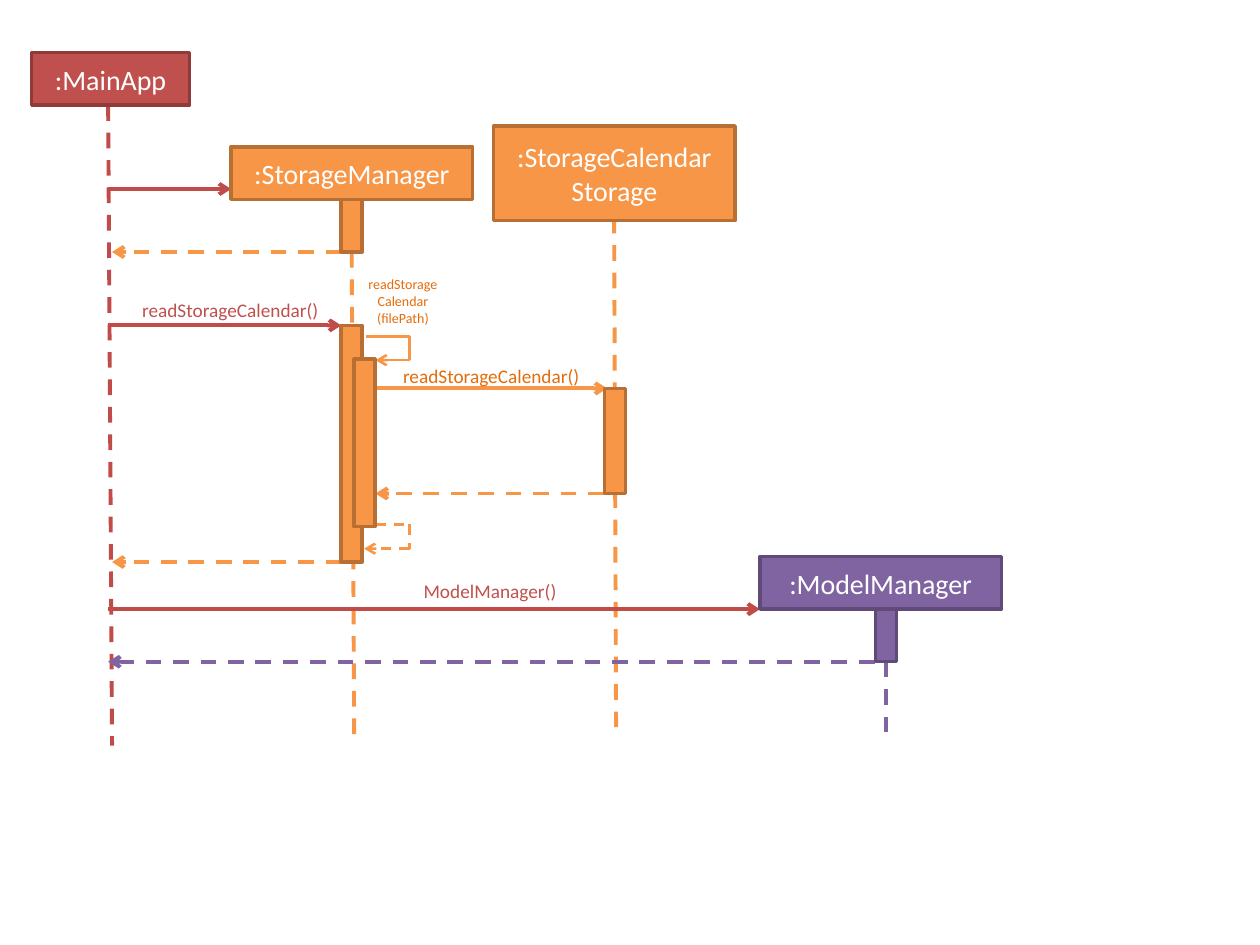
import pptx
import pptx.util
import pptx.dml.color
import pptx.enum.dml
import pptx.enum.shapes
import pptx.enum.text
import pptx.oxml.ns
import lxml.etree
from dataclasses import dataclass
from pptx.util import Cm


@dataclass(frozen=True)
class Theme:
    font: str = "Calibri"
    white: str = "FFFFFF"
    red: str = "C0504D"
    red_line: str = "BF4C48"
    red_edge: str = "8E3B39"
    orange: str = "F79646"
    orange_edge: str = "B76F34"
    orange_text: str = "E46C0A"
    purple: str = "8064A2"
    purple_edge: str = "5F4A78"
    header_size: int = 16
    label_size: int = 11
    small_size: int = 8
    edge_width: float = 2
    line_width: float = 2.25
    thin_width: float = 1.5


THEME = Theme()
MAIN = (THEME.red, THEME.red_edge)
STORAGE = (THEME.orange, THEME.orange_edge)
MODEL = (THEME.purple, THEME.purple_edge)

MAIN_X = 2.18
RETURN_X = 2.26
MANAGER_X = 6.88
SELF_BAR_RIGHT = 7.57
LOOP_X = 8.26
HEADER_WIDTH, HEADER_HEIGHT = 4.87, 1.06
BAR_WIDTH = 0.42
LIFELINE_END = 14.82


def rgb(value):
    return pptx.dml.color.RGBColor.from_string(value)


def apply_format(target, values):
    for name, value in values.items():
        setattr(target, name, value)


def write_text(frame, text, size, color):
    """Write one centred paragraph for each line of text."""
    for index, line in enumerate(text.split("\n")):
        para = frame.paragraphs[0] if index == 0 else frame.add_paragraph()
        para.alignment = pptx.enum.text.PP_ALIGN.CENTER
        span = para.add_run()
        span.text = line
        apply_format(span.font, {"name": THEME.font, "size": pptx.util.Pt(size)})
        span.font.color.rgb = rgb(color)


def add_box(page, left, top, width, height, colors, text=""):
    """Add an object header, or an activation bar when there is no text."""
    fill, edge = colors
    box = page.shapes.add_shape(pptx.enum.shapes.MSO_SHAPE.RECTANGLE,
                                Cm(left), Cm(top), Cm(width), Cm(height))
    box.shadow.inherit = False
    box.fill.solid()
    box.fill.fore_color.rgb = rgb(fill)
    box.line.color.rgb = rgb(edge)
    box.line.width = pptx.util.Pt(THEME.edge_width)
    if text:
        apply_format(box.text_frame, {
            "word_wrap": True,
            "vertical_anchor": pptx.enum.text.MSO_ANCHOR.MIDDLE,
        })
        write_text(box.text_frame, text, THEME.header_size, THEME.white)


def add_line(page, start, end, color, dashed=False, arrow=False,
             width=THEME.line_width):
    line = page.shapes.add_connector(
        pptx.enum.shapes.MSO_CONNECTOR.STRAIGHT,
        *(Cm(value) for value in start + end))
    line.line.color.rgb = rgb(color)
    line.line.width = pptx.util.Pt(width)
    if dashed:
        line.line.dash_style = pptx.enum.dml.MSO_LINE.DASH
    if arrow:
        lxml.etree.SubElement(line.line._get_or_add_ln(),
                              pptx.oxml.ns.qn("a:tailEnd"), type="arrow")
    lxml.etree.SubElement(line._element.spPr, pptx.oxml.ns.qn("a:effectLst"))


def add_message(page, start_x, end_x, y, color, dashed=False):
    add_line(page, (start_x, y), (end_x, y), color, dashed, arrow=True)


def add_self_message(page, start_x, end_x, top, bottom, dashed=False):
    """Add a loop of three lines that leaves a bar and comes back to it."""
    points = [(start_x, top), (LOOP_X, top), (LOOP_X, bottom), (end_x, bottom)]
    for start, end in zip(points, points[1:]):
        add_line(page, start, end, THEME.orange, dashed,
                 arrow=end == points[-1], width=THEME.thin_width)


def add_label(page, left, top, width, height, text, color, size=THEME.label_size):
    label = page.shapes.add_textbox(Cm(left), Cm(top), Cm(width), Cm(height))
    apply_format(label.text_frame, {
        "word_wrap": False,
        "auto_size": pptx.enum.text.MSO_AUTO_SIZE.SHAPE_TO_FIT_TEXT,
    })
    write_text(label.text_frame, text, size, color)


def add_lifelines(page):
    for start, end, color in (
        ((MAIN_X, 2.12), (RETURN_X, 15.03), THEME.red_line),
        ((7.09, 5.08), (7.14, LIFELINE_END), THEME.orange),
        ((12.38, 4.39), (12.42, LIFELINE_END), THEME.orange),
        ((17.86, 13.34), (17.86, LIFELINE_END), THEME.purple),
    ):
        add_line(page, start, end, color, dashed=True)


def add_messages(page):
    for start_x, end_x, y in ((MAIN_X, 4.66, 3.81),
                              (MAIN_X, MANAGER_X, 6.56),
                              (MAIN_X, 15.32, 12.28)):
        add_message(page, start_x, end_x, y, THEME.red_line)
    add_message(page, SELF_BAR_RIGHT, 12.24, 7.83, THEME.orange)
    for start_x, end_x, y, color in (
        (MANAGER_X, RETURN_X, 5.08, THEME.orange),
        (12.17, SELF_BAR_RIGHT, 9.95, THEME.orange),
        (MANAGER_X, RETURN_X, 11.33, THEME.orange),
        (17.63, MAIN_X, 13.34, THEME.purple),
    ):
        add_message(page, start_x, end_x, y, color, dashed=True)
    add_self_message(page, 7.37, SELF_BAR_RIGHT, 6.78, 7.26)
    add_self_message(page, SELF_BAR_RIGHT, 7.34, 10.57, 11.06, dashed=True)


def add_bars(page):
    for left, top, height, colors in (
        (MANAGER_X, 4.02, 1.06, STORAGE),
        (MANAGER_X, 6.56, 4.77, STORAGE),
        (7.14, 7.24, 3.38, STORAGE),
        (12.19, 7.83, 2.12, STORAGE),
        (17.65, 12.28, 1.06, MODEL),
    ):
        add_box(page, left, top, BAR_WIDTH, height, colors)


def add_headers(page):
    add_box(page, 0.64, 1.06, 3.18, HEADER_HEIGHT, MAIN, ":MainApp")
    add_box(page, 4.66, 2.96, HEADER_WIDTH, HEADER_HEIGHT, STORAGE, ":StorageManager")
    add_box(page, 9.95, 2.54, HEADER_WIDTH, 1.91, STORAGE, ":StorageCalendar\nStorage")
    add_box(page, 15.32, 11.22, HEADER_WIDTH, HEADER_HEIGHT, MODEL, ":ModelManager")


def add_labels(page):
    add_label(page, 2.59, 5.89, 4.11, 0.74, "readStorageCalendar()", THEME.red)
    add_label(page, 7.85, 7.21, 4.11, 0.74, "readStorageCalendar()", THEME.orange_text)
    add_label(page, 8.28, 11.56, 3.2, 0.74, "ModelManager()", THEME.red)
    add_label(page, 7.16, 5.44, 1.93, 1.27, "readStorage\nCalendar\n(filePath)",
              THEME.orange_text, THEME.small_size)


def main():
    deck = pptx.Presentation()
    apply_format(deck, {"slide_width": Cm(25.4), "slide_height": Cm(19.05)})
    page = deck.slides.add_slide(deck.slide_layouts[6])
    add_lifelines(page)
    add_messages(page)
    add_bars(page)
    add_headers(page)
    add_labels(page)
    deck.save("out.pptx")


if __name__ == "__main__":
    main()
